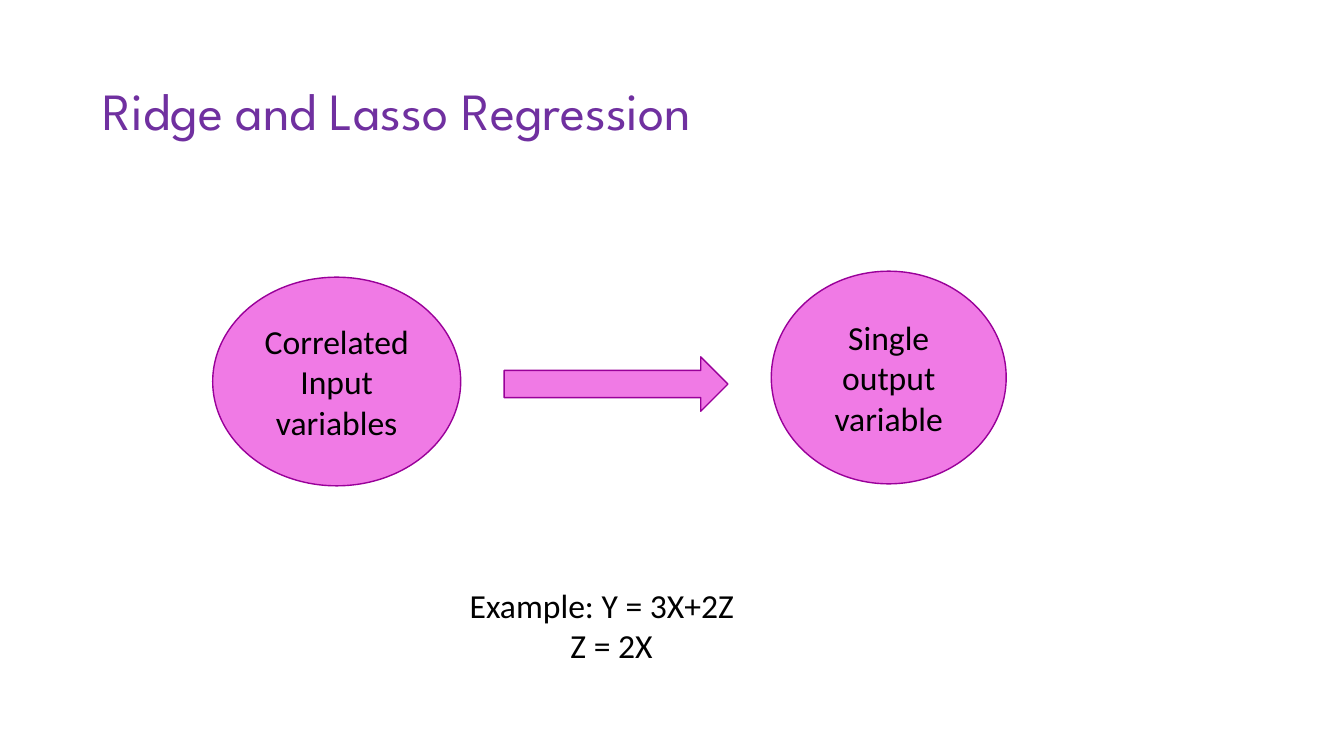
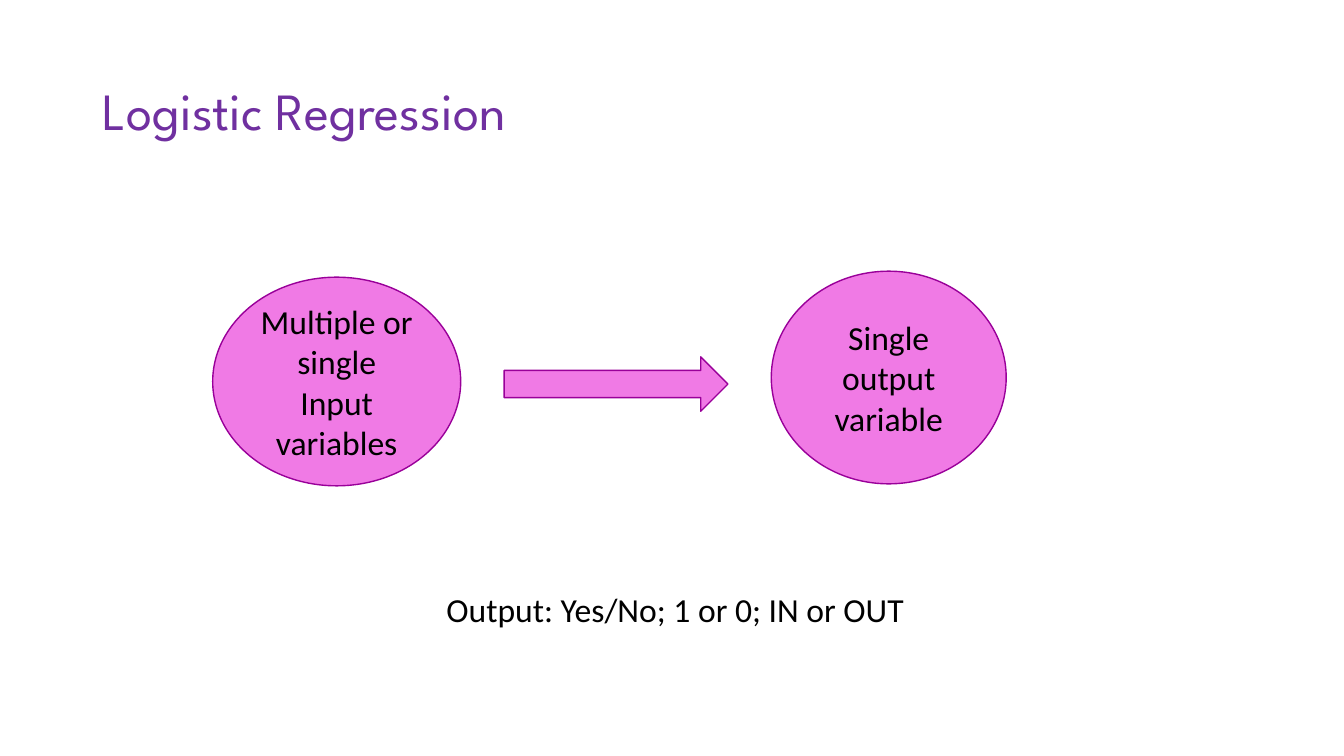
from dataclasses import dataclass

from pptx import Presentation
from pptx.dml.color import RGBColor
from pptx.enum.shapes import MSO_SHAPE
from pptx.enum.text import MSO_ANCHOR, PP_ALIGN
from pptx.util import Emu, Pt

OVAL = MSO_SHAPE.OVAL
RIGHT_ARROW = MSO_SHAPE.RIGHT_ARROW
MIDDLE = MSO_ANCHOR.MIDDLE
TOP = MSO_ANCHOR.TOP
CENTER = PP_ALIGN.CENTER
LEFT = PP_ALIGN.LEFT
EMU_PER_PX = 9144
BLANK_LAYOUT = 6


@dataclass(frozen=True)
class TextStyle:
    font: str
    size: float
    color: RGBColor
    line_spacing: float = 1.0


@dataclass(frozen=True)
class Theme:
    fill: RGBColor = RGBColor(0xF0, 0x7A, 0xE5)
    line: RGBColor = RGBColor(0x99, 0x00, 0x99)
    line_width: int = 1
    title: TextStyle = TextStyle("League Spartan", 37.3, RGBColor(0x70, 0x30, 0xA0), 0.9)
    body: TextStyle = TextStyle("Calibri", 24, RGBColor(0, 0, 0))


THEME = Theme()
TITLE_BOX = (92, 40, 1150, 145)
INPUT_BOX = (211, 275, 246, 207)
ARROW_BOX = (500, 354, 222, 54)
OUTPUT_BOX = (765, 269, 233, 211)

SLIDES = [
    {
        "title": "Ridge and Lasso Regression",
        "inputs": "Correlated Input variables",
        "note_box": (456, 575, 467, 91),
        "note": [("Example: Y = 3X+2Z", 0), ("Z = 2X", 100)],
    },
    {
        "title": "Logistic Regression",
        "inputs": "Multiple or single Input variables",
        "note_box": (433, 579, 511, 50),
        "note": [("Output: Yes/No; 1 or 0; IN or OUT", 0)],
    },
]


def px(length):
    return Emu(length * EMU_PER_PX)


def write_text(shape, lines, style, anchor, alignment):
    frame = shape.text_frame
    frame.word_wrap = True
    frame.vertical_anchor = anchor
    frame.text = "\n".join(text for text, _ in lines)
    for paragraph, (_, indent) in zip(frame.paragraphs, lines):
        paragraph.alignment = alignment
        paragraph.line_spacing = style.line_spacing
        paragraph.font.name = style.font
        paragraph.font.size = Pt(style.size)
        paragraph.font.color.rgb = style.color
        if indent:
            paragraph._p.get_or_add_pPr().set("marL", str(px(indent)))


def add_text(slide, box, lines, style, anchor=TOP):
    shape = slide.shapes.add_textbox(*map(px, box))
    write_text(shape, lines, style, anchor, LEFT)


def add_filled_shape(slide, kind, box):
    shape = slide.shapes.add_shape(kind, *map(px, box))
    shape.shadow.inherit = False
    shape.fill.solid()
    shape.fill.fore_color.rgb = THEME.fill
    shape.line.color.rgb = THEME.line
    shape.line.width = Pt(THEME.line_width)
    return shape


def add_bubble(slide, box, text):
    bubble = add_filled_shape(slide, OVAL, box)
    write_text(bubble, [(text, 0)], THEME.body, MIDDLE, CENTER)


def add_regression_slide(presentation, content):
    slide = presentation.slides.add_slide(presentation.slide_layouts[BLANK_LAYOUT])
    add_text(slide, TITLE_BOX, [(content["title"], 0)], THEME.title, MIDDLE)
    add_bubble(slide, INPUT_BOX, content["inputs"])
    add_filled_shape(slide, RIGHT_ARROW, ARROW_BOX)
    add_bubble(slide, OUTPUT_BOX, "Single output variable")
    add_text(slide, content["note_box"], content["note"], THEME.body)


def main():
    presentation = Presentation()
    presentation.slide_width = px(1333)
    presentation.slide_height = px(750)
    for content in SLIDES:
        add_regression_slide(presentation, content)
    presentation.save("out.pptx")


if __name__ == "__main__":
    main()
